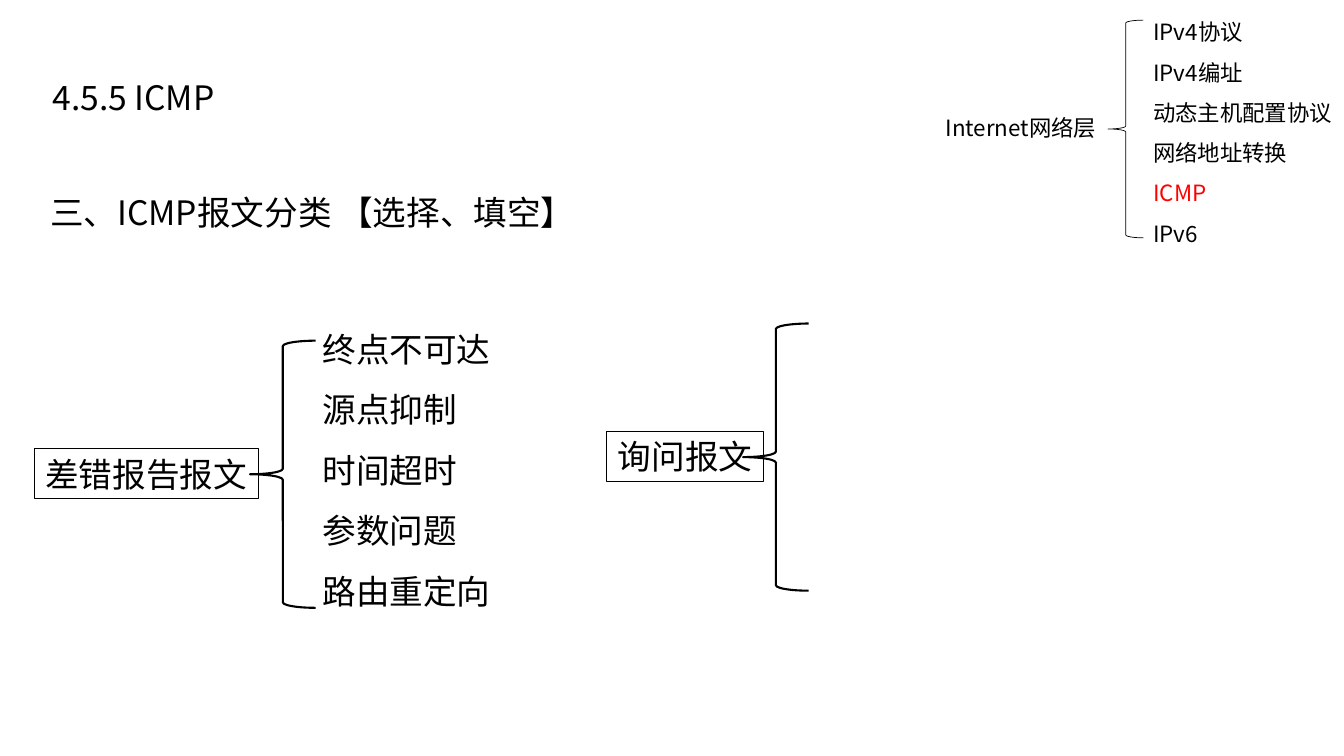
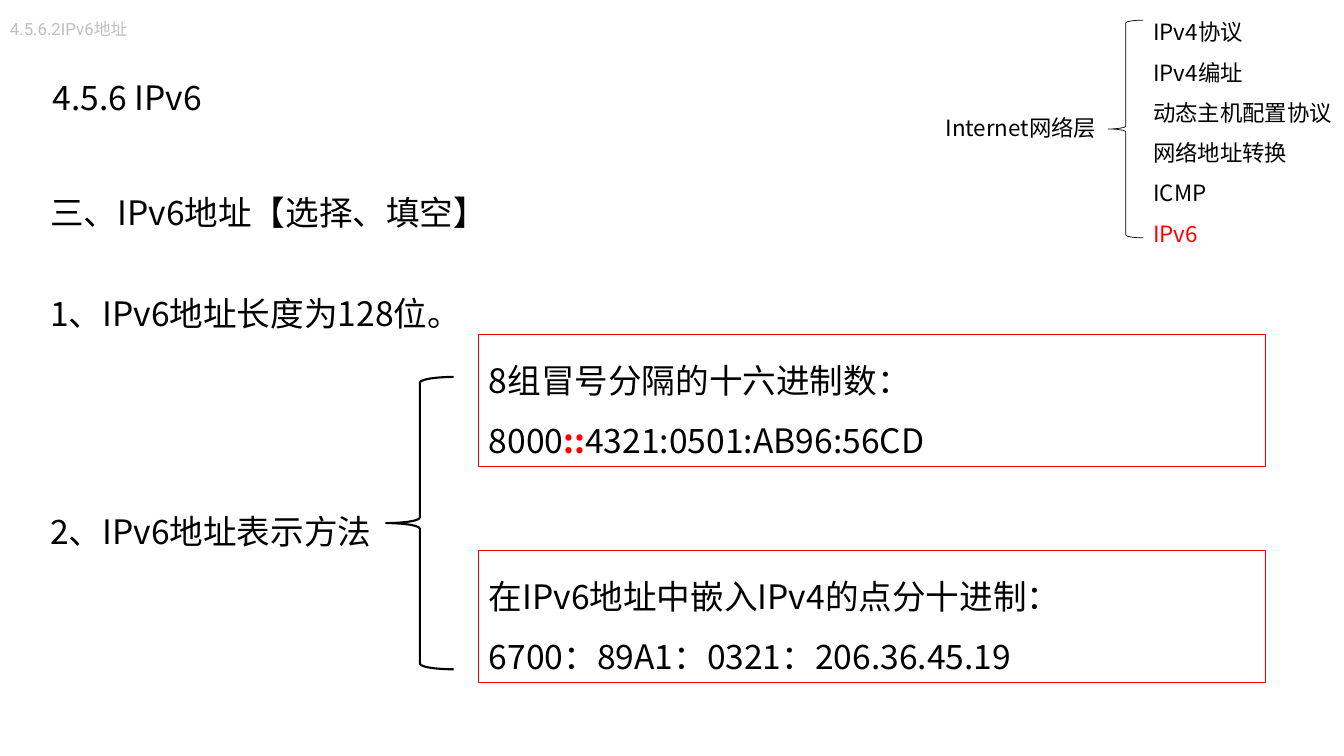
import pptx
import pptx.util
import pptx.dml.color
import pptx.enum.shapes
import pptx.enum.text
import pptx.oxml.ns
import lxml.etree

PX = 9144
BLACK = pptx.dml.color.RGBColor(0x00, 0x00, 0x00)
RED = pptx.dml.color.RGBColor(0xFF, 0x00, 0x00)
GREY = pptx.dml.color.RGBColor(0xBF, 0xBF, 0xBF)
SANS = "Noto Sans CJK SC"
KIND = pptx.enum.shapes.MSO_SHAPE
ALIGN = pptx.enum.text.PP_ALIGN
ANCHOR = pptx.enum.text.MSO_ANCHOR
FIT = pptx.enum.text.MSO_AUTO_SIZE
EA = pptx.oxml.ns.qn("a:ea")


def write(shape, lines, size=24, color=BLACK, face=SANS, gap=1.5,
          align=ALIGN.LEFT, anchor=ANCHOR.TOP, marks=()):
    frame = shape.text_frame
    form = {"word_wrap": True, "auto_size": FIT.NONE, "vertical_anchor": anchor}
    for key, value in form.items():
        setattr(frame, key, value)
    for row, line in enumerate(lines):
        para = frame.paragraphs[0] if row == 0 else frame.add_paragraph()
        para.alignment = align
        para.line_spacing = gap
        for text in [line] if isinstance(line, str) else line:
            run = para.add_run()
            run.text = text
            look = {"size": pptx.util.Pt(size), "name": face, "bold": text == "::"}
            for key, value in look.items():
                setattr(run.font, key, value)
            run.font.color.rgb = RED if text in marks else color
            props = run.font._element
            lxml.etree.SubElement(props, EA).set("typeface", face)


def draw(slide, kind, box, color=BLACK, width=0.75):
    shape = slide.shapes.add_shape(kind, *[n * PX for n in box])
    shape.shadow.inherit = False
    shape.fill.background()
    shape.line.color.rgb = color
    shape.line.width = pptx.util.Pt(width)
    return shape


deck = pptx.Presentation()
deck.slide_width = 1333 * PX
deck.slide_height = 750 * PX

topics = ["IPv4协议", "IPv4编址", "动态主机配置协议", "网络地址转换", "ICMP", "IPv6"]
errors = ["终点不可达", "源点抑制", "时间超时", "参数问题", "路由重定向"]

pages = [
    {
        "title": "4.5.5 ICMP",
        "topic": "ICMP",
        "braces": [(248, 338, 65, 265), (737, 321, 65, 265)],
        "texts": [
            ((40, 165, 870, 71), ["三、ICMP报文分类 【选择、填空】"], {}),
            ((310, 301, 227, 306), errors, {}),
        ],
        "frames": [
            ((34, 445, 222, 50), ["差错报告报文"], BLACK, {"align": ALIGN.CENTER, "gap": 1}),
            ((602, 428, 155, 50), ["询问报文"], BLACK, {"align": ALIGN.CENTER, "gap": 1}),
        ],
    },
    {
        "title": "4.5.6 IPv6",
        "topic": "IPv6",
        "braces": [(383, 374, 67, 290)],
        "texts": [
            ((0, 14, 138, 30), ["4.5.6.2IPv6地址"],
             {"size": 12, "color": GREY, "face": "Roboto", "gap": 1}),
            ((40, 165, 870, 71), ["三、IPv6地址【选择、填空】"], {}),
            ((40, 266, 1094, 64), ["1、IPv6地址长度为128位。"], {}),
            ((40, 482, 343, 71), ["2、IPv6地址表示方法"], {}),
        ],
        "frames": [
            ((475, 332, 780, 131),
             ["8组冒号分隔的十六进制数：", ["8000", "::", "4321:0501:AB96:56CD"]],
             RED, {"marks": ["::"]}),
            ((475, 546, 780, 131),
             ["在IPv6地址中嵌入IPv4的点分十进制：", "6700：89A1：0321：206.36.45.19"],
             RED, {}),
        ],
    },
]

for page in pages:
    slide = deck.slides.add_slide(deck.slide_layouts[5])
    title = slide.shapes.title
    place = {"left": 40, "top": 34, "width": 675, "height": 104}
    for key, value in place.items():
        setattr(title, key, value * PX)
    inset = {"margin_left": 12, "margin_top": 6, "margin_right": 12, "margin_bottom": 6}
    for key, value in inset.items():
        setattr(title.text_frame, key, value * PX)
    write(title, [page["title"]], anchor=ANCHOR.MIDDLE)

    draw(slide, KIND.LEFT_BRACE, (1099, 20, 35, 216), width=0.5)
    for box in page["braces"]:
        draw(slide, KIND.LEFT_BRACE, box, width=1.5)

    for box, lines, color, style in page["frames"]:
        write(draw(slide, KIND.RECTANGLE, box, color), lines, **style)

    menu = [
        ((928, 108, 173, 37), ["Internet网络层"], {"size": 16, "gap": 1}),
        ((1134, 0, 200, 252), topics, {"size": 16, "marks": [page["topic"]]}),
    ]
    for box, lines, style in page["texts"] + menu:
        write(slide.shapes.add_textbox(*[n * PX for n in box]), lines, **style)

deck.save("out.pptx")
